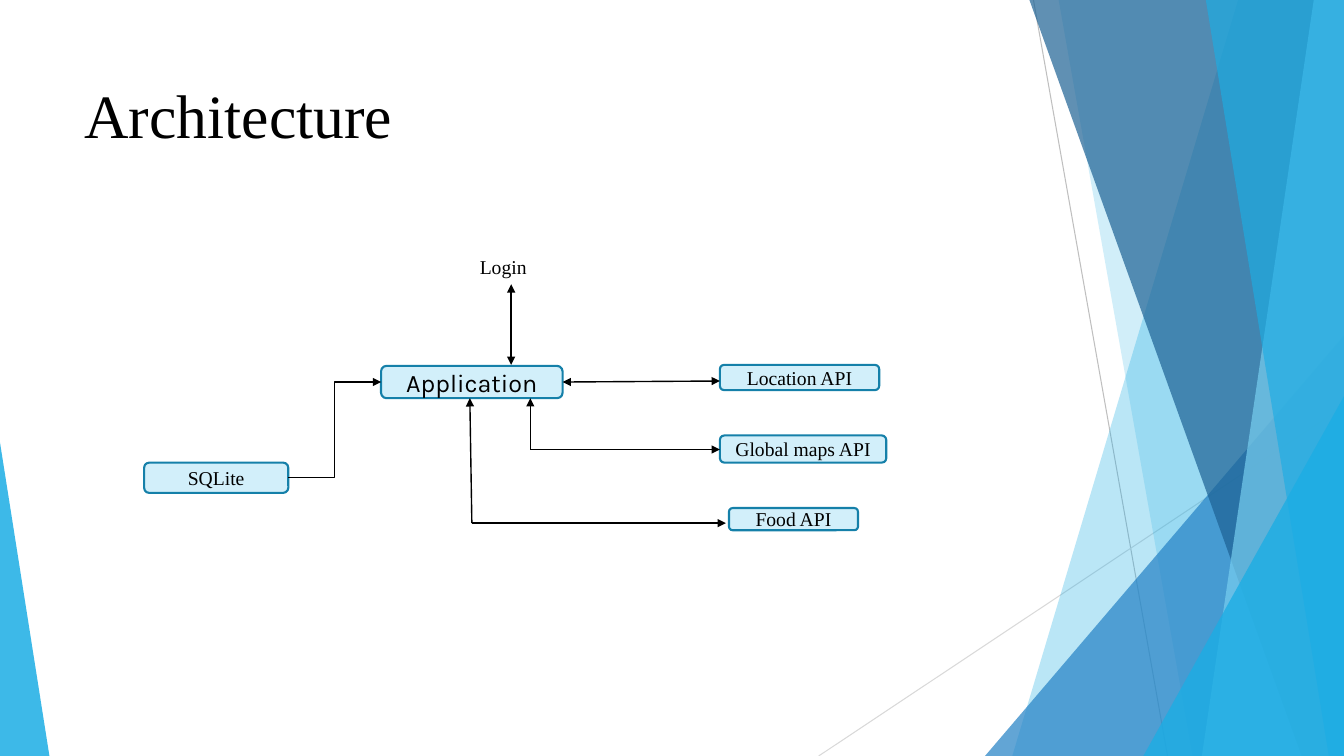
from dataclasses import dataclass

from lxml import etree
from pptx import Presentation
from pptx import util as u
from pptx.dml.color import RGBColor
from pptx.enum import shapes, text
from pptx.oxml import ns

WIDTH, HEIGHT = 13.33, 7.5


@dataclass(frozen=True)
class Theme:
    """Colours, fonts and sizes of the slide."""
    ink: str = "000000"
    box_fill: str = "D2EFFA"
    box_line: str = "1580A9"
    sky: str = "1CADE4"
    pale: str = "77CEEF"
    blue: str = "2683C6"
    navy: str = "1D6294"
    rule_dark: str = "BFBFBF"
    rule_light: str = "D9D9D9"
    serif: str = "Times New Roman"
    sans: str = "Karla"
    title_size: float = 44
    main_size: float = 18
    label_size: float = 14
    box_weight: float = 1.5
    arrow_weight: float = 1
    rule_weight: float = 0.75


class SlideBuilder:
    """Draws styled elements on one slide."""

    def __init__(self, slide, theme):
        """Keep the slide and its theme."""
        self.slide = slide
        self.theme = theme

    def set_text(self, shape, words, size, font=None):
        """Put one formatted line of text into a shape."""
        paragraph = shape.text_frame.paragraphs[0]
        paragraph.text = words
        for run in paragraph.runs:
            run.font.size = u.Pt(size)
            run.font.name = font or self.theme.serif
            run.font.color.rgb = RGBColor.from_string(self.theme.ink)
        return paragraph

    def label(self, words, left, top, width, height, size):
        """Add a plain text box and return it."""
        shape = self.slide.shapes.add_textbox(*map(u.Inches, (left, top, width, height)))
        shape.text_frame.word_wrap = True
        self.set_text(shape, words, size)
        return shape

    def title(self, words, left, top, width, height):
        """Add the slide title, centred vertically in its area."""
        shape = self.label(words, left, top, width, height, self.theme.title_size)
        shape.text_frame.vertical_anchor = text.MSO_ANCHOR.MIDDLE
        shape.text_frame.paragraphs[0].line_spacing = 0.9

    def box(self, words, left, top, width, height, size=None, font=None):
        """Add a rounded component box with centred text."""
        shape = self.slide.shapes.add_shape(
            shapes.MSO_SHAPE.ROUNDED_RECTANGLE,
            *map(u.Inches, (left, top, width, height)))
        shape.shadow.inherit = False
        shape.fill.solid()
        shape.fill.fore_color.rgb = RGBColor.from_string(self.theme.box_fill)
        shape.line.color.rgb = RGBColor.from_string(self.theme.box_line)
        shape.line.width = u.Pt(self.theme.box_weight)
        frame = shape.text_frame
        frame.margin_top = frame.margin_bottom = 0
        frame.vertical_anchor = text.MSO_ANCHOR.MIDDLE
        paragraph = self.set_text(shape, words, size or self.theme.label_size, font)
        paragraph.alignment = text.PP_ALIGN.CENTER

    def line(self, start, end, color, weight, kind=shapes.MSO_CONNECTOR.STRAIGHT):
        """Add a connector without shadow and return it."""
        connector = self.slide.shapes.add_connector(kind, *map(u.Inches, (*start, *end)))
        connector.line.color.rgb = RGBColor.from_string(color)
        connector.line.width = u.Pt(weight)
        etree.SubElement(connector.element.spPr, ns.qn("a:effectLst"))
        return connector

    def arrow(self, start, end, both=False, kind=shapes.MSO_CONNECTOR.STRAIGHT):
        """Add an arrow with a head at its end, or at both ends."""
        connector = self.line(start, end, self.theme.ink, self.theme.arrow_weight, kind)
        outline = connector.element.spPr.find(ns.qn("a:ln"))
        for tag in ("a:headEnd", "a:tailEnd") if both else ("a:tailEnd",):
            etree.SubElement(outline, ns.qn(tag), type="triangle")

    def tint(self, shape, color, opacity):
        """Give a shape a translucent fill and no outline."""
        shape.shadow.inherit = False
        shape.line.fill.background()
        shape.fill.solid()
        shape.fill.fore_color.rgb = RGBColor.from_string(color)
        color_node = shape.element.spPr.find(".//" + ns.qn("a:srgbClr"))
        etree.SubElement(color_node, ns.qn("a:alpha"), val=str(opacity * 1000))

    def band(self, top_left, bottom_left, color, opacity):
        """Add a band from a slanted left edge to the right slide edge."""
        corners = [(top_left, 0), (WIDTH, 0), (WIDTH, HEIGHT), (bottom_left, HEIGHT)]
        points = [(u.Inches(x), u.Inches(y)) for x, y in corners]
        builder = self.slide.shapes.build_freeform(*points[0])
        builder.add_line_segments(points[1:], close=True)
        self.tint(builder.convert_to_shape(), color, opacity)

    def wedge(self, left, top, width, apex, color, opacity):
        """Add a right triangle that stands on the bottom edge."""
        shape = self.slide.shapes.add_shape(
            shapes.MSO_SHAPE.ISOSCELES_TRIANGLE,
            *map(u.Inches, (left, top, width, HEIGHT - top)))
        shape.adjustments[0] = apex
        self.tint(shape, color, opacity)


def draw_background(builder):
    """Draw the faceted decoration at both sides."""
    theme = builder.theme
    builder.line((10.25, 0), (11.58, HEIGHT), theme.rule_dark, theme.rule_weight)
    builder.line((WIDTH, 4.03), (8.12, HEIGHT), theme.rule_light, theme.rule_weight)
    builder.band(12.28, 10.04, theme.sky, 30)
    builder.band(10.5, 11.83, theme.sky, 20)
    builder.wedge(9.77, 3.33, 3.56, 1, theme.blue, 72)
    builder.band(10.21, 12.91, theme.navy, 70)
    builder.band(13.03, 11.92, theme.pale, 70)
    builder.band(11.96, 13.18, theme.sky, 65)
    builder.wedge(11.34, 3.93, 1.99, 1, theme.sky, 80)
    builder.wedge(0, 4.39, 0.49, 0, theme.sky, 85)


def draw_architecture(builder):
    """Draw the components and the arrows between them."""
    theme = builder.theme
    builder.title("Architecture", 0.74, 0.67, 9.4, 1.02)
    builder.label("Login", 4.66, 2.48, 0.81, 0.34, theme.label_size)
    builder.box("Application", 3.78, 3.63, 1.8, 0.32, theme.main_size, theme.sans)
    for component in (
        ("SQLite", 1.43, 4.59, 1.43, 0.3),
        ("Location API", 7.14, 3.62, 1.58, 0.25),
        ("Global maps API", 7.14, 4.32, 1.65, 0.27),
        ("Food API", 7.23, 5.04, 1.28, 0.22),
    ):
        builder.box(*component)

    builder.arrow((5.07, 2.82), (5.07, 3.62), both=True)
    builder.arrow((5.58, 3.79), (7.14, 3.78), both=True)
    builder.arrow((2.86, 4.74), (3.78, 3.79), kind=shapes.MSO_CONNECTOR.ELBOW)
    for corner, application_x, api_x in (((5.26, 4.46), 5.26, 7.14),
                                         ((4.68, 5.19), 4.66, 7.2)):
        builder.arrow(corner, (application_x, 3.95))
        builder.arrow(corner, (api_x, corner[1]))


def main():
    """Build and save the presentation."""
    presentation = Presentation()
    presentation.slide_width = u.Inches(WIDTH)
    presentation.slide_height = u.Inches(HEIGHT)
    slide = presentation.slides.add_slide(presentation.slide_layouts[6])
    builder = SlideBuilder(slide, Theme())
    draw_background(builder)
    draw_architecture(builder)
    presentation.save("out.pptx")


main()
